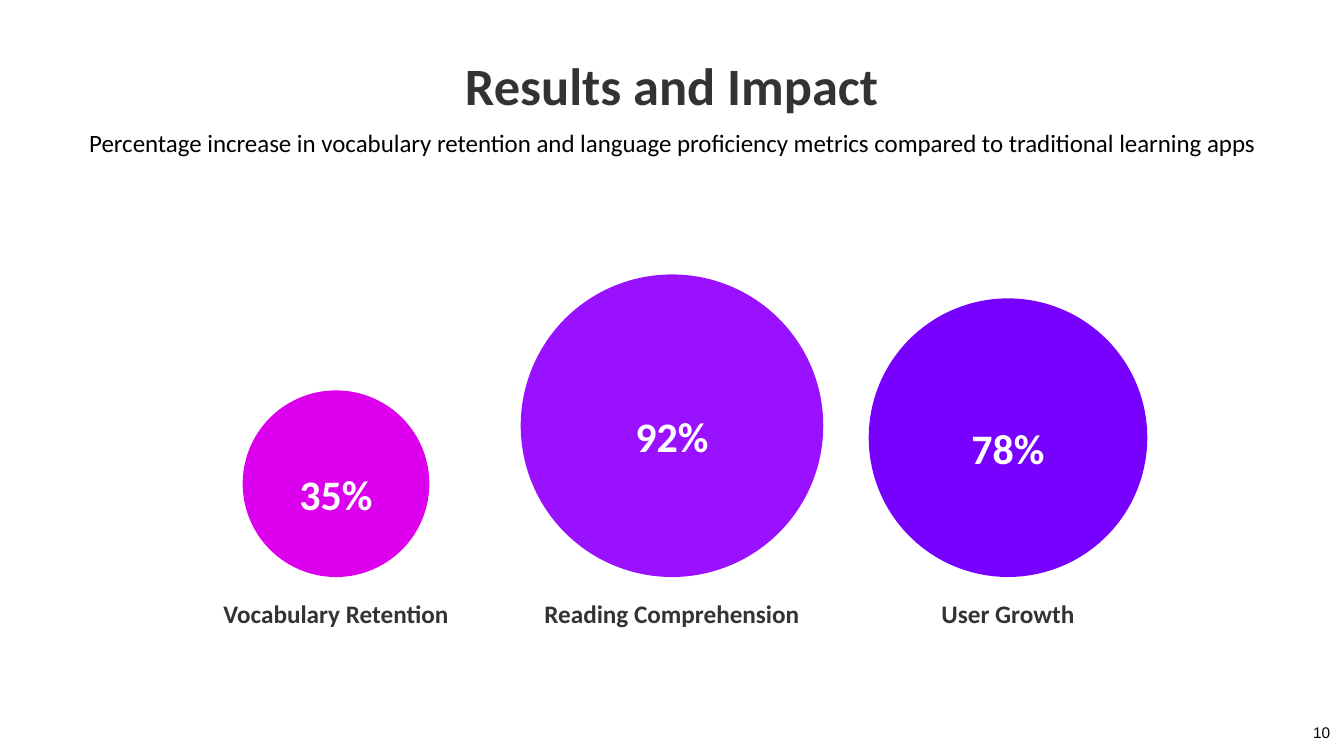
from math import sqrt

from pptx import Presentation
from pptx.dml.color import RGBColor
from pptx.enum.shapes import MSO_SHAPE
from pptx.enum.text import PP_ALIGN
from pptx.util import Cm, Pt

WIDTH, HEIGHT = 33.87, 19.05
BASE = 14.54
SCALE = 7.95
COLORS = {
    "dark": "333333",
    "black": "000000",
    "white": "FFFFFF",
    "pink": "DD00EE",
    "purple": "9911FF",
    "violet": "7700FF",
}
RESULTS = [
    ("Vocabulary Retention", 35, "pink"),
    ("Reading Comprehension", 92, "purple"),
    ("User Growth", 78, "violet"),
]


def color(name):
    return RGBColor.from_string(COLORS[name])


def add_text(slide, text, left, top, width, height, *, size, fill="dark",
             bold=False, font="Calibri", align=PP_ALIGN.CENTER,
             space=1.04, inset=(0, 0)):
    box = slide.shapes.add_textbox(Cm(left), Cm(top), Cm(width), Cm(height))
    frame = box.text_frame
    frame.word_wrap = True
    frame.margin_left = frame.margin_right = Cm(inset[0])
    frame.margin_top = frame.margin_bottom = Cm(inset[1])
    line = frame.paragraphs[0]
    line.alignment = align
    line.line_spacing = space
    run = line.add_run()
    run.text = text
    run.font.name = font
    run.font.size = Pt(size)
    run.font.bold = bold
    run.font.color.rgb = color(fill)


def add_circle(slide, center, middle, size, fill):
    circle = slide.shapes.add_shape(
        MSO_SHAPE.OVAL, Cm(center - size / 2), Cm(middle - size / 2),
        Cm(size), Cm(size))
    circle.shadow.inherit = False
    circle.fill.solid()
    circle.fill.fore_color.rgb = color(fill)
    circle.line.fill.background()


def add_result(slide, center, label, value, fill):
    size = SCALE * sqrt(value / 100)
    middle = BASE - size / 2
    add_circle(slide, center, middle, size, fill)
    add_text(slide, label, center - 4.37, 15.04, 8.74, 0.66,
             size=18, bold=True)
    add_text(slide, f"{value}%", center - 1, middle - 0.43, 2, 1.09,
             size=30, fill="white", bold=True)


def main():
    deck = Presentation()
    deck.slide_width, deck.slide_height = Cm(WIDTH), Cm(HEIGHT)
    slide = deck.slides.add_slide(deck.slide_layouts[6])
    add_text(slide, "Results and Impact", 0, 1.27, WIDTH, 1.37,
             size=37.5, bold=True)
    add_text(slide, "Percentage increase in vocabulary retention and language "
             "proficiency metrics compared to traditional learning apps",
             0, 2.97, WIDTH, 1.75, size=17.8, fill="black", space=1.33)
    step = WIDTH / (len(RESULTS) + 1)
    for index, result in enumerate(RESULTS, 1):
        add_result(slide, index * step, *result)
    add_text(slide, "10", 32.84, 18.08, 1.03, 0.84, size=11, fill="black",
             font="Arial", align=PP_ALIGN.LEFT, space=1, inset=(0.25, 0.13))
    deck.save("out.pptx")


if __name__ == "__main__":
    main()
